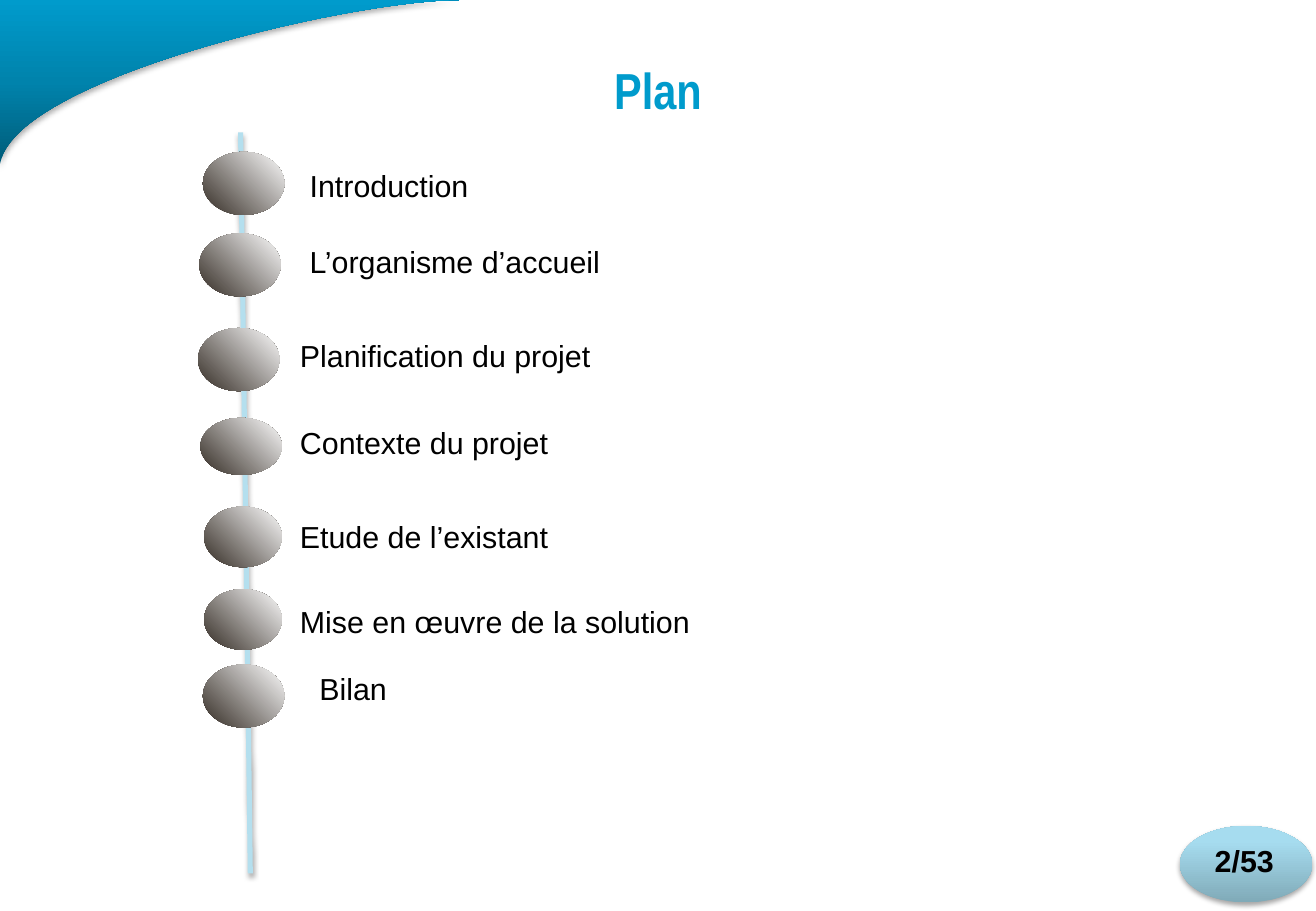
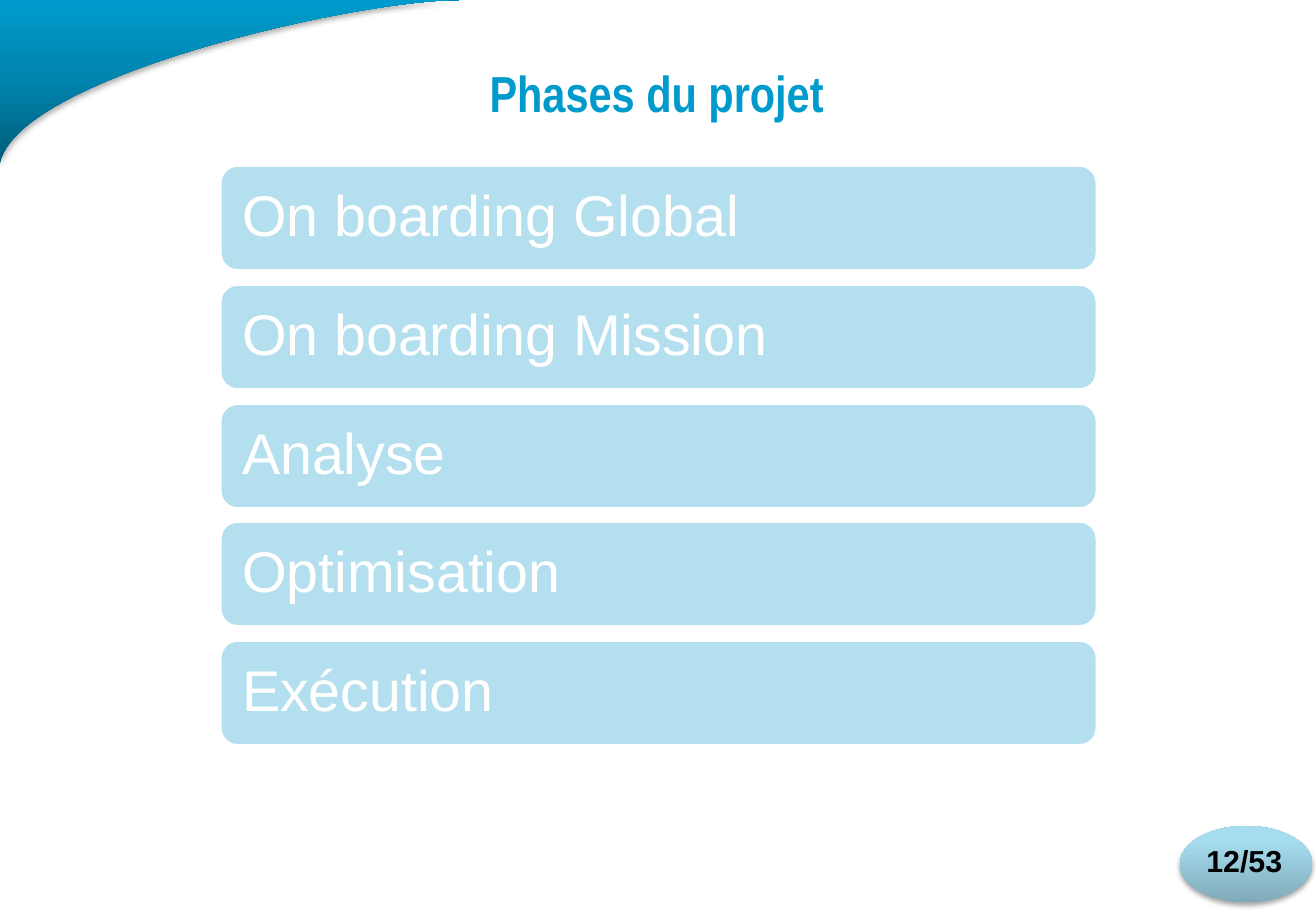
from dataclasses import dataclass

from lxml import etree
from pptx import Presentation
from pptx.dml.color import RGBColor
from pptx.enum.shapes import MSO_CONNECTOR, MSO_SHAPE
from pptx.enum.text import MSO_ANCHOR, MSO_AUTO_SIZE, PP_ALIGN
from pptx.oxml.ns import qn
from pptx.slide import Slide
from pptx.util import Emu, Pt

EMU_PER_PX = 9144  # 100 px to the inch
LEFT, CENTER = PP_ALIGN.LEFT, PP_ALIGN.CENTER
MIDDLE, TOP = MSO_ANCHOR.MIDDLE, MSO_ANCHOR.TOP
NO_AUTOFIT = MSO_AUTO_SIZE.NONE
STRAIGHT = MSO_CONNECTOR.STRAIGHT
OVAL, ROUNDED = MSO_SHAPE.OVAL, MSO_SHAPE.ROUNDED_RECTANGLE
TITLE_ONLY = 5


@dataclass(frozen=True)
class Box:
    left: int
    top: int
    width: int
    height: int

    def emu(self) -> tuple[Emu, ...]:
        return tuple(px(v) for v in (self.left, self.top, self.width, self.height))


@dataclass(frozen=True)
class TextStyle:
    size: int
    color: str
    bold: bool = False
    font: str = "Arial"


@dataclass(frozen=True)
class Gradient:
    stops: tuple[tuple[int, str], ...]
    angle: int


@dataclass(frozen=True)
class Shadow:
    alpha: int
    blur: float
    distance: float


@dataclass(frozen=True)
class Theme:
    pale: str = "B4DFEE"
    white: str = "FFFFFF"
    title: TextStyle = TextStyle(30, "009BCC", True, "Arial Narrow")
    badge: TextStyle = TextStyle(18, "000000", True)
    item: TextStyle = TextStyle(18, "000000")
    phase: TextStyle = TextStyle(34, "FFFFFF")
    corner_fill: Gradient = Gradient(((0, "005C79"), (50, "0083AC"), (100, "009BCC")), 90)
    badge_fill: Gradient = Gradient(((0, "80AAB8"), (80, "A6DCEF"), (100, "A5DEF2")), 90)
    bead_fill: Gradient = Gradient(((0, "332B24"), (100, "FFFFFF")), 45)
    corner_shadow: Shadow = Shadow(32, 3.5, 2.2)
    soft_shadow: Shadow = Shadow(35, 3.1, 1.8)


@dataclass(frozen=True)
class PlanItem:
    label: str
    bead: Box
    text_left: int
    text_top: int


THEME = Theme()
PLAN = (
    PlanItem("Introduction", Box(167, 125, 67, 52), 245, 133),
    PlanItem("L’organisme d’accueil", Box(164, 192, 67, 52), 245, 195),
    PlanItem("Planification du projet", Box(163, 270, 67, 52), 237, 273),
    PlanItem("Contexte du projet", Box(165, 344, 67, 47), 237, 344),
    PlanItem("Etude de l’existant", Box(168, 417, 64, 50), 237, 422),
    PlanItem("Mise en œuvre de la solution", Box(168, 485, 64, 50), 237, 492),
    PlanItem("Bilan", Box(167, 547, 67, 52), 253, 547),
)
PHASES = ("On boarding Global", "On boarding Mission", "Analyse", "Optimisation", "Exécution")


def px(value: float) -> Emu:
    return Emu(round(value * EMU_PER_PX))


def rgb(color: str) -> RGBColor:
    return RGBColor.from_string(color)


def set_shadow(sp, shadow: Shadow | None = None) -> None:
    """Replace the style's shadow; call after fill and line are set."""
    effects = etree.SubElement(sp._element.spPr, qn("a:effectLst"))
    if shadow:
        outer = etree.SubElement(
            effects, qn("a:outerShdw"), blurRad=str(Pt(shadow.blur)),
            dist=str(Pt(shadow.distance)), dir="5400000", rotWithShape="0")
        color = etree.SubElement(outer, qn("a:srgbClr"), val="000000")
        etree.SubElement(color, qn("a:alpha"), val=str(shadow.alpha * 1000))


def set_gradient(sp, gradient: Gradient) -> None:
    sp.fill.gradient()
    sp.fill.gradient_angle = gradient.angle
    stops = sp._element.spPr.find(f".//{qn('a:gsLst')}")
    for old in list(stops):
        stops.remove(old)
    for position, color in gradient.stops:
        stop = etree.SubElement(stops, qn("a:gs"), pos=str(position * 1000))
        etree.SubElement(stop, qn("a:srgbClr"), val=color)


def write(sp, text: str, style: TextStyle, align=LEFT, anchor=TOP,
          margins: tuple[int, int, int, int] = (10, 5, 10, 5),
          spacing: float = 1.0, wrap: bool = True) -> None:
    """Set one formatted paragraph; margins are left, top, right, bottom."""
    tf = sp.text_frame
    tf.text = text
    tf.auto_size = NO_AUTOFIT
    tf.word_wrap = wrap
    tf.vertical_anchor = anchor
    tf.margin_left, tf.margin_top, tf.margin_right, tf.margin_bottom = map(px, margins)
    p = tf.paragraphs[0]
    p.alignment = align
    p.line_spacing = spacing
    font = p.runs[0].font
    font.name, font.size, font.bold = style.font, Pt(style.size), style.bold
    font.color.rgb = rgb(style.color)


def add_gradient_oval(slide: Slide, box: Box, gradient: Gradient,
                      shadow: Shadow | None = None):
    sp = slide.shapes.add_shape(OVAL, *box.emu())
    set_gradient(sp, gradient)
    sp.line.fill.background()
    set_shadow(sp, shadow)
    return sp


def add_corner(slide: Slide, steps: int = 48) -> None:
    """Draw the top-left swoosh, its edge sampled from a cubic curve."""
    controls = ((0, 135), (12, 64), (290, 0), (378, 0))
    edge = []
    for i in range(steps + 1):
        t = i / steps
        weights = ((1 - t) ** 3, 3 * t * (1 - t) ** 2, 3 * t * t * (1 - t), t ** 3)
        edge.append(tuple(px(sum(w * c[axis] for w, c in zip(weights, controls)))
                          for axis in (0, 1)))
    builder = slide.shapes.build_freeform(0, 0)
    builder.add_line_segments(edge, close=True)
    sp = builder.convert_to_shape()
    set_gradient(sp, THEME.corner_fill)
    sp.line.fill.background()
    set_shadow(sp, THEME.corner_shadow)


def add_base_slide(prs, title: str, page: str, title_box: Box) -> Slide:
    slide = prs.slides.add_slide(prs.slide_layouts[TITLE_ONLY])
    add_corner(slide)
    badge = add_gradient_oval(slide, Box(971, 680, 109, 63), THEME.badge_fill,
                              THEME.soft_shadow)
    write(badge, page, THEME.badge, CENTER, MIDDLE, (0, 0, 3, 7), wrap=False)
    sp = slide.shapes.title
    sp.left, sp.top, sp.width, sp.height = title_box.emu()
    write(sp, title, THEME.title, CENTER, MIDDLE, (8, 28, 8, 4), 0.9)
    return slide


def add_plan(slide: Slide) -> None:
    thread = slide.shapes.add_connector(STRAIGHT, px(198), px(109), px(206), px(719))
    thread.line.color.rgb = rgb(THEME.pale)
    thread.line.width = Pt(3)
    set_shadow(thread, THEME.soft_shadow)
    for item in PLAN:
        add_gradient_oval(slide, item.bead, THEME.bead_fill)
        label = Box(item.text_left, item.text_top, 351, 40)
        write(slide.shapes.add_textbox(*label.emu()), item.label, THEME.item)


def add_phases(slide: Slide) -> None:
    first_top, last_top = 136, 527
    pitch = (last_top - first_top) / (len(PHASES) - 1)
    for i, phase in enumerate(PHASES):
        box = Box(181, round(first_top + i * pitch), 722, 87)
        sp = slide.shapes.add_shape(ROUNDED, *box.emu())
        sp.fill.solid()
        sp.fill.fore_color.rgb = rgb(THEME.pale)
        sp.line.color.rgb = rgb(THEME.white)
        sp.line.width = Pt(2)
        set_shadow(sp)
        write(sp, phase, THEME.phase, LEFT, MIDDLE, (14, 14, 14, 14), 0.9)


def main() -> None:
    prs = Presentation()
    prs.slide_width, prs.slide_height = px(1083), px(750)
    add_plan(add_base_slide(prs, "Plan", "2/53", Box(0, 0, 1083, 130)))
    add_phases(add_base_slide(prs, "Phases du projet", "12/53", Box(-1, 2, 1083, 130)))
    prs.save("out.pptx")


if __name__ == "__main__":
    main()
